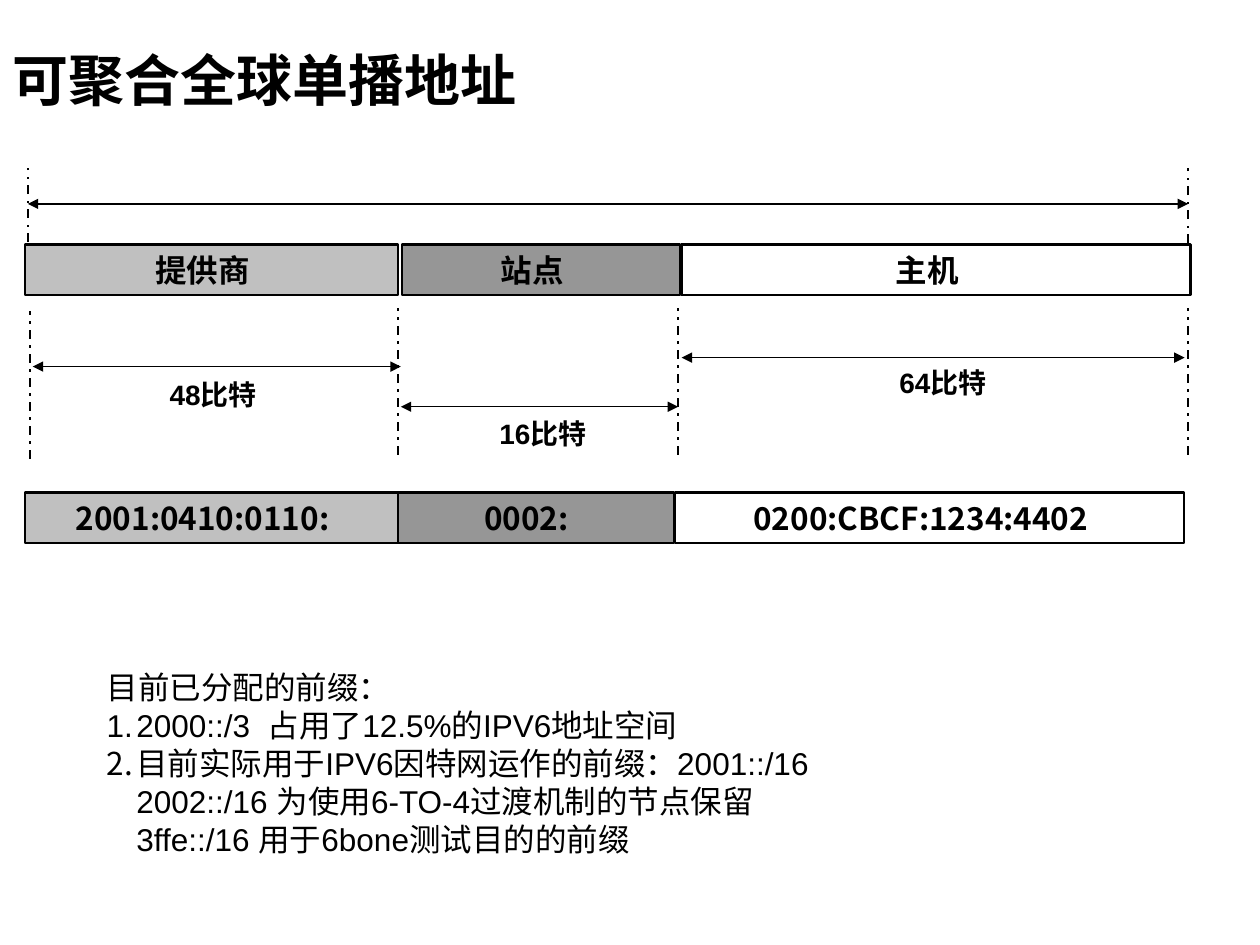
"""Build a slide on the structure of aggregatable global unicast addresses."""
import pptx
import pptx.dml.color
import pptx.enum.dml
import pptx.enum.shapes
import pptx.enum.text
import pptx.oxml.ns
import pptx.util
from lxml import etree

Cm, Pt = pptx.util.Cm, pptx.util.Pt
Align, Anchor = pptx.enum.text.PP_ALIGN, pptx.enum.text.MSO_ANCHOR
DASH = pptx.enum.dml.MSO_LINE.DASH_DOT
qn = pptx.oxml.ns.qn
RGB = pptx.dml.color.RGBColor.from_string

THEME = {
    "ink": RGB("000000"), "provider": RGB("C0C0C0"), "site": RGB("969696"),
    "title": Pt(32), "field": Pt(18), "label": Pt(16), "body": Pt(18),
    "cjk": "Noto Sans CJK SC", "latin": "Arial",
}


def write(box, lines, kind, face, bold, align, right=0.25):
    frame = box.text_frame
    layout = {"word_wrap": kind != "label",
              "auto_size": pptx.enum.text.MSO_AUTO_SIZE.NONE,
              "vertical_anchor": Anchor.TOP if kind == "body" else Anchor.MIDDLE,
              "margin_left": Cm(0.25), "margin_right": Cm(right),
              "margin_top": Cm(0.13), "margin_bottom": Cm(0.13)}
    for name, value in layout.items():
        setattr(frame, name, value)
    frame.text = "\n".join(lines)
    for para in frame.paragraphs:
        para.alignment = align
        para.space_before = Pt(0)
        for span in para.runs:
            style = {"size": THEME[kind], "name": THEME[face], "bold": bold}
            for name, value in style.items():
                setattr(span.font, name, value)
            span.font.color.rgb = THEME["ink"]
            east = etree.SubElement(span.font._element, qn("a:ea"))
            east.set("typeface", THEME["cjk"])


def rule(x1, y1, x2, y2, arrows):
    line = page.shapes.add_connector(
        pptx.enum.shapes.MSO_CONNECTOR.STRAIGHT, Cm(x1), Cm(y1), Cm(x2), Cm(y2))
    line.line.color.rgb = THEME["ink"]
    line.line.width = Pt(0.75 if arrows else 1.25)
    if arrows:
        for end in ("a:headEnd", "a:tailEnd"):
            etree.SubElement(line.line._get_or_add_ln(), qn(end)).set("type", "triangle")
    else:
        line.line.dash_style = DASH
    etree.SubElement(line._element.spPr, qn("a:effectLst"))


deck = pptx.Presentation()
deck.slide_width, deck.slide_height = Cm(25.4), Cm(19.05)
page = deck.slides.add_slide(deck.slide_layouts[1])
title, body = page.placeholders

for box, place in ((title, (0, 1.12, 14.6, 0.97)), (body, (1.9, 13.34, 20.8, 4.83))):
    box.left, box.top, box.width, box.height = map(Cm, place)
write(title, ["可聚合全球单播地址"], "title", "cjk", True, Align.LEFT)

address_rows = [
    (4.93, [("主机", 13.74, 10.26, None), ("站点", 8.1, 5.61, "site"),
            ("提供商", 0.5, 7.52, "provider")]),
    (9.93, [("0200:CBCF:1234:4402", 13.61, 10.26, None), ("0002:", 7.98, 5.61, "site"),
            ("2001:0410:0110:", 0.5, 7.52, "provider")]),
]
for top, fields in address_rows:
    for text, left, width, fill in fields:
        field = page.shapes.add_shape(
            pptx.enum.shapes.MSO_SHAPE.RECTANGLE, Cm(left), Cm(top), Cm(width), Cm(1.02))
        field.shadow.inherit = False
        if fill:
            field.fill.solid()
            field.fill.fore_color.rgb = THEME[fill]
        else:
            field.fill.background()
        field.line.color.rgb = THEME["ink"]
        field.line.width = Pt(1.25)
        write(field, [text], "field", "cjk", True, Align.CENTER, right=0.6)

for x, bottom, top in [(0.56, 4.88, 3.38), (23.95, 4.9, 3.38), (0.61, 9.25, 6.27),
                       (8.03, 9.17, 6.2), (13.67, 9.17, 6.2), (23.95, 9.17, 6.2)]:
    rule(x, bottom, x, top, arrows=False)

for start, end, y in [(0.56, 23.95, 4.11), (0.66, 8.08, 7.39),
                      (13.74, 23.88, 7.21), (8.08, 13.67, 8.2)]:
    rule(start, y, end, y, arrows=True)

for text, left, top in [("48比特", 3.1, 7.47), ("16比特", 9.75, 8.26), ("64比特", 17.81, 7.24)]:
    label = page.shapes.add_textbox(Cm(left), Cm(top), Cm(2.39), Cm(0.94))
    write(label, [text], "label", "latin", True, Align.CENTER)

write(body, [
    "目前已分配的前缀：",
    "2000::/3  占用了12.5%的IPV6地址空间",
    "目前实际用于IPV6因特网运作的前缀：2001::/16\v"
    "2002::/16 为使用6-TO-4过渡机制的节点保留\v"
    "3ffe::/16 用于6bone测试目的的前缀",
], "body", "latin", False, Align.LEFT)
for number, para in enumerate(body.text_frame.paragraphs):
    para.line_spacing = Pt(21.7)
    indent = Cm(0.6) if number else 0
    properties = para._p.get_or_add_pPr()
    properties.set("marL", str(indent))
    properties.set("indent", str(-indent))
    if number:
        etree.SubElement(properties, qn("a:buFont")).set("typeface", THEME["latin"])
        etree.SubElement(properties, qn("a:buAutoNum")).set("type", "arabicPeriod")
    else:
        etree.SubElement(properties, qn("a:buNone"))

deck.save("out.pptx")
